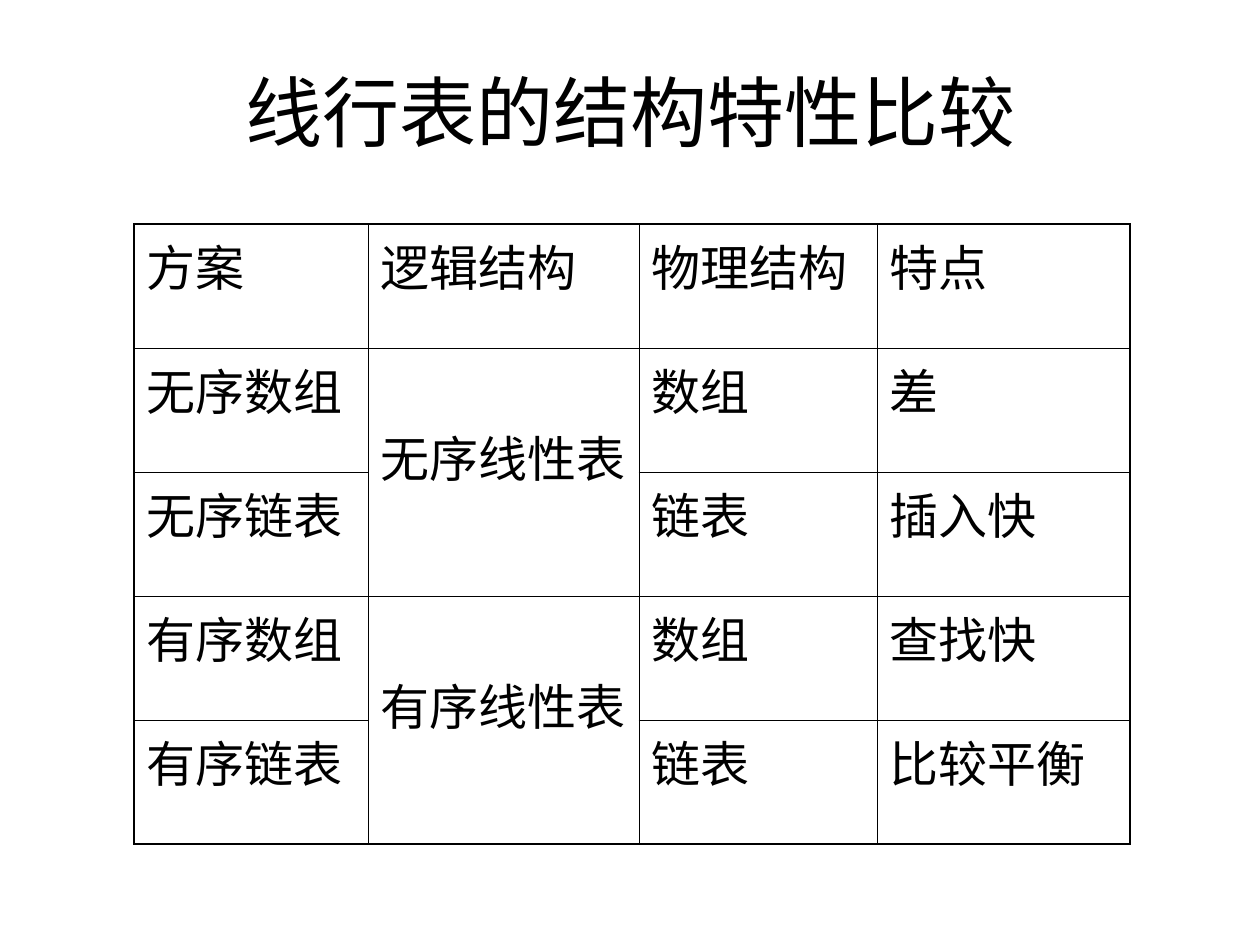
from pptx import Presentation
from pptx.dml.color import RGBColor
from pptx.enum.text import MSO_ANCHOR, PP_ALIGN
from pptx.oxml import parse_xml
from pptx.oxml.ns import nsdecls
from pptx.util import Pt

EMU_PER_PX = 914400 / 126
COLORS = {"ink": "000000", "paper": "FFFFFF"}
COLUMN_WIDTHS = [234, 271, 238, 253]
ROW_HEIGHT = 124
MERGED_COLUMN = 1
MERGED_ROWS = [(1, 2), (3, 4)]
OUTER_LINE, INNER_LINE = 1.08, 0.45
ROWS = [
    ["方案", "逻辑结构", "物理结构", "特点"],
    ["无序数组", "无序线性表", "数组", "差"],
    ["无序链表", "", "链表", "插入快"],
    ["有序数组", "有序线性表", "数组", "查找快"],
    ["有序链表", "", "链表", "比较平衡"],
]


def px(value):
    return round(value * EMU_PER_PX)


def format_runs(paragraph, font_name, size):
    for run in paragraph.runs:
        run.font.name = font_name
        run.font.size = Pt(size)
        run.font.color.rgb = RGBColor.from_string(COLORS["ink"])


def add_title(slide, left, top, width, height):
    title = slide.shapes.title
    title.left, title.top = px(left), px(top)
    title.width, title.height = px(width), px(height)
    frame = title.text_frame
    frame.text = "线行表的结构特性比较"
    frame.vertical_anchor = MSO_ANCHOR.MIDDLE
    frame.paragraphs[0].alignment = PP_ALIGN.CENTER
    format_runs(frame.paragraphs[0], "Calibri", 44)


def set_borders(cell, row, column):
    outer_sides = {
        "L": column == 0,
        "R": column == len(COLUMN_WIDTHS) - 1,
        "T": row == 0,
        "B": row == len(ROWS) - 1,
    }
    properties = cell._tc.get_or_add_tcPr()
    for index, (side, is_outer) in enumerate(outer_sides.items()):
        width = Pt(OUTER_LINE if is_outer else INNER_LINE)
        properties.insert(index, parse_xml(
            f'<a:ln{side} {nsdecls("a")} w="{width}"><a:solidFill>'
            f'<a:srgbClr val="{COLORS["ink"]}"/></a:solidFill></a:ln{side}>'
        ))


def fill_cell(cell, text):
    cell.margin_left = cell.margin_right = px(13)
    cell.margin_top = px(73 if cell.is_merge_origin else 6)
    cell.margin_bottom = px(6)
    cell.vertical_anchor = MSO_ANCHOR.TOP
    cell.fill.solid()
    cell.fill.fore_color.rgb = RGBColor.from_string(COLORS["paper"])
    if text:
        cell.text_frame.text = text
        format_runs(cell.text_frame.paragraphs[0], "Arial", 28)


def add_comparison_table(slide, left, top):
    table = slide.shapes.add_table(
        len(ROWS), len(COLUMN_WIDTHS), px(left), px(top),
        px(sum(COLUMN_WIDTHS)), px(ROW_HEIGHT * len(ROWS)),
    ).table
    table.first_row = table.horz_banding = False
    for column, width in zip(table.columns, COLUMN_WIDTHS):
        column.width = px(width)
    for row in table.rows:
        row.height = px(ROW_HEIGHT)
    for first, last in MERGED_ROWS:
        table.cell(first, MERGED_COLUMN).merge(table.cell(last, MERGED_COLUMN))
    for row, texts in enumerate(ROWS):
        for column, text in enumerate(texts):
            cell = table.cell(row, column)
            fill_cell(cell, text)
            last_row = row + cell.span_height - 1 if cell.is_merge_origin else row
            set_borders(cell, last_row, column)


def main():
    presentation = Presentation()
    presentation.slide_width = px(1260)
    presentation.slide_height = px(945)
    slide = presentation.slides.add_slide(presentation.slide_layouts[5])
    add_title(slide, 42, 32, 1177, 157)
    add_comparison_table(slide, 134, 224)
    presentation.save("out.pptx")


if __name__ == "__main__":
    main()
